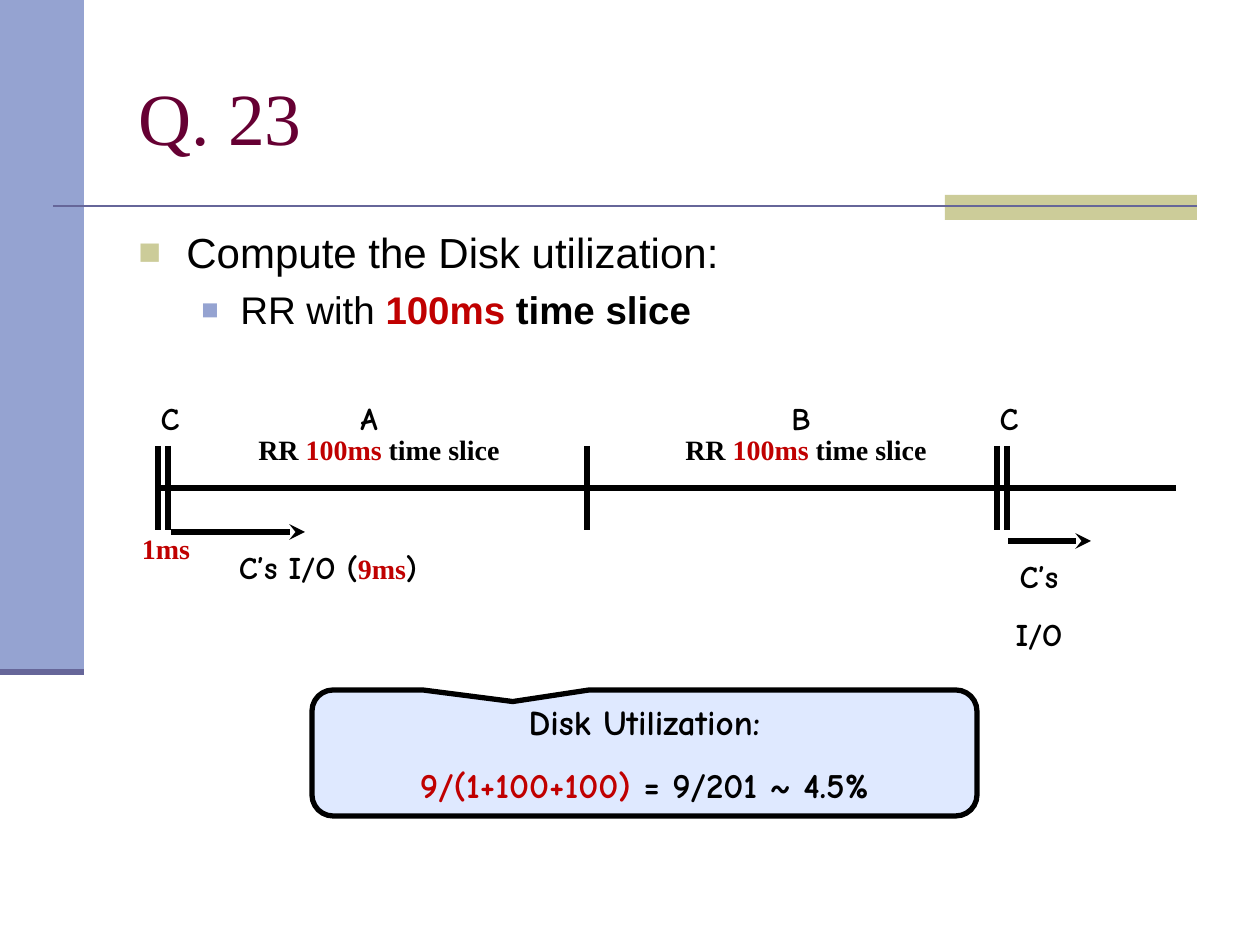
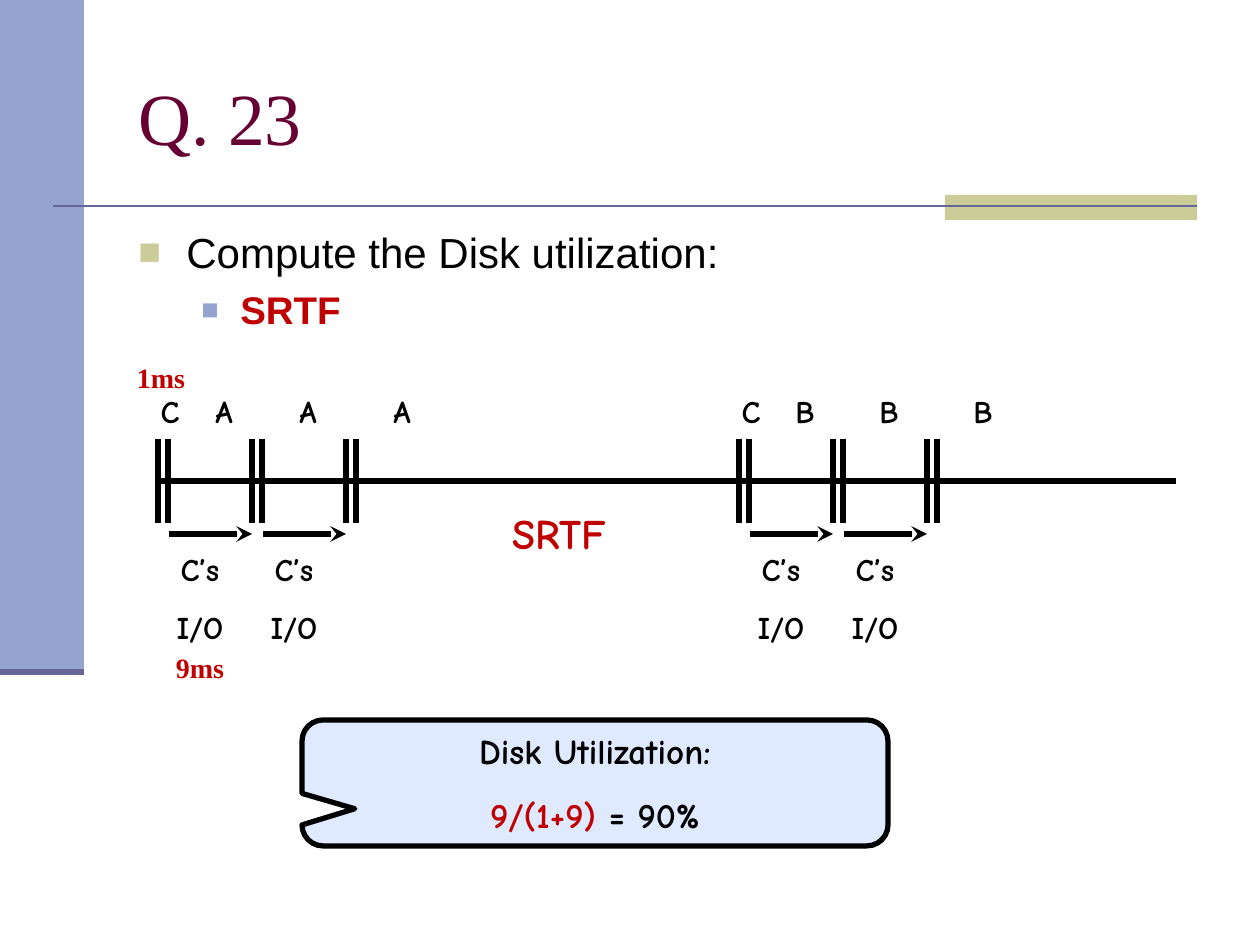
from lxml import etree
from pptx import Presentation
from pptx.dml.color import RGBColor
from pptx.enum.shapes import MSO_CONNECTOR, MSO_SHAPE
from pptx.enum.text import MSO_ANCHOR, MSO_AUTO_SIZE, PP_ALIGN
from pptx.oxml.ns import qn
from pptx.util import Emu, Pt

RECTANGLE = MSO_SHAPE.RECTANGLE
CALLOUT = MSO_SHAPE.ROUNDED_RECTANGULAR_CALLOUT
STRAIGHT = MSO_CONNECTOR.STRAIGHT
LEFT, CENTER = PP_ALIGN.LEFT, PP_ALIGN.CENTER
TOP, MIDDLE = MSO_ANCHOR.TOP, MSO_ANCHOR.MIDDLE
GROW = MSO_AUTO_SIZE.SHAPE_TO_FIT_TEXT

BLACK, RED, PLUM = "000000", "C00000", "660033"
BLUE, OLIVE, SLATE, PALE = "95A3D1", "CCCC99", "666699", "DFE9FF"
SANS, SERIF, COMIC = "Arial", "Times New Roman", "Comic Neue"

PAIR_GAP = 10
PERIOD = 94


def px(length):
    return Emu(round(length * 914400 / 126))


def color(value):
    return RGBColor.from_string(value)


def plain(text, ink=BLACK, size=24, font=SANS, bold=False):
    return text, ink, size, font, bold


def comic(text, ink=BLACK, size=18):
    return text, ink, size, COMIC, True


def serif(text, ink=RED):
    return text, ink, 16, SERIF, True


class Slides:
    def __init__(self):
        self.deck = Presentation()
        self.deck.slide_width, self.deck.slide_height = px(1260), px(945)
        self.page = None
        self.axis_y = 0

    def start(self, title, topic, detail):
        self.page = self.deck.slides.add_slide(self.deck.slide_layouts[6])
        self.shape(RECTANGLE, 0, 0, 84, 672, BLUE)
        self.shape(RECTANGLE, 945, 195, 252, 25, OLIVE)
        self.line(53, 206, 1197, 206, SLATE, 1.5)
        self.line(0, 672, 84, 672, SLATE, 3.5)
        self.text(126, 38, 1071, 157, [[plain(title, PLUM, 42, SERIF)]], anchor=MIDDLE)
        body = self.text(126, 220, 1071, 624, [[plain(topic)], detail], space=5.5)
        levels = ((48, 48, OLIVE, 90), (102, 39, BLUE, 75))
        for para, level in zip(body.text_frame.paragraphs, levels):
            self.bullet(para, *level)

    def shape(self, kind, x, y, width, height, fill, border=None):
        shape = self.page.shapes.add_shape(kind, px(x), px(y), px(width), px(height))
        shape.shadow.inherit = False
        shape.fill.solid()
        shape.fill.fore_color.rgb = color(fill)
        if border:
            shape.line.color.rgb = color(border)
            shape.line.width = Pt(3)
        else:
            shape.line.fill.background()
        return shape

    def line(self, x1, y1, x2, y2, ink=BLACK, weight=3, arrow=False):
        line = self.page.shapes.add_connector(STRAIGHT, px(x1), px(y1), px(x2), px(y2))
        line.line.color.rgb = color(ink)
        line.line.width = Pt(weight)
        if arrow:
            outline = line.line._get_or_add_ln()
            etree.SubElement(outline, qn("a:tailEnd"), type="stealth")
        etree.SubElement(line._element.spPr, qn("a:effectLst"))

    def fill_text(self, frame, paragraphs, align, space):
        for index, spans in enumerate(paragraphs):
            para = frame.add_paragraph() if index else frame.paragraphs[0]
            para.alignment = align
            if index:
                para.space_before = Pt(space)
            for text, ink, size, font, bold in spans:
                span = para.add_run()
                span.text = text
                span.font.size = Pt(size)
                span.font.name = font
                span.font.bold = bold
                span.font.color.rgb = color(ink)

    def text(self, x, y, width, height, paragraphs, align=LEFT, anchor=TOP, space=0):
        box = self.page.shapes.add_textbox(px(x), px(y), px(width), px(height))
        frame = box.text_frame
        frame.word_wrap = True
        frame.vertical_anchor = anchor
        self.fill_text(frame, paragraphs, align, space)
        return box

    def bullet(self, para, margin, hanging, ink, percent):
        props = para._p.get_or_add_pPr()
        props.set("marL", str(px(margin)))
        props.set("indent", str(-px(hanging)))
        tint = etree.SubElement(props, qn("a:buClr"))
        etree.SubElement(tint, qn("a:srgbClr"), val=ink)
        etree.SubElement(props, qn("a:buSzPct"), val=str(percent * 1000))
        etree.SubElement(props, qn("a:buFont"), typeface=SANS)
        etree.SubElement(props, qn("a:buChar"), char="■")

    def label(self, center, y, *paragraphs, width=74, height=50):
        box = self.text(center - width / 2, y, width, height, paragraphs, CENTER, space=11.25)
        box.text_frame.word_wrap = False
        box.text_frame.auto_size = GROW

    def callout(self, x, y, width, tip, formula, result):
        shape = self.shape(CALLOUT, x, y, width, 126, PALE, BLACK)
        for index, value in enumerate((*tip, 0.167)):
            shape.adjustments[index] = value
        frame = shape.text_frame
        frame.word_wrap = True
        frame.vertical_anchor = MIDDLE
        lines = [[comic("Disk Utilization:", size=20)],
                 [comic(formula, RED, 20), comic(result, size=20)]]
        self.fill_text(frame, lines, CENTER, 12.5)

    def axis(self, y):
        self.axis_y = y
        self.line(158, y, 1176, y)

    def tick(self, x):
        self.line(x, self.axis_y - 42, x, self.axis_y + 42)

    def tick_pair(self, x):
        self.tick(x)
        self.tick(x + PAIR_GAP)

    def job(self, center, name):
        self.label(center, self.axis_y - 95, [comic(name)], width=44)

    def disk_wait(self, x):
        y = self.axis_y + 53
        self.line(x + 11, y, x + PERIOD, y, arrow=True)
        self.label(x + 42, y + 10, [comic("C’s ")], [comic("I/O")], height=108)


def round_robin(slides):
    slides.start("Q. 23", "Compute the Disk utilization:",
                 [plain("RR with ", size=22), plain("100ms", RED, 22, bold=True),
                  plain(" time slice", size=22, bold=True)])
    slides.callout(312, 690, 665, (-0.198, -0.408), "9/(1+100+100)", " = 9/201 ~ 4.5%")
    slides.axis(488)
    for x in (158, 997):
        slides.tick_pair(x)
        slides.job(x + 12, "C")
    slides.tick(587)
    slides.disk_wait(997)
    slides.line(171, 532, 305, 532, arrow=True)
    slides.label(328, 542, [comic("C’s I/O ("), serif("9ms"), comic(")")], width=246)
    slides.job(369, "A")
    slides.job(801, "B")
    for center in (379, 806):
        slides.label(center, 426, [serif("RR ", BLACK), serif("100ms"),
                                   serif(" time slice", BLACK)], width=276)
    slides.label(166, 525, [serif("1ms")])


def shortest_first(slides):
    slides.start("Q. 23", "Compute the Disk utilization:",
                 [plain("SRTF", RED, 22, bold=True)])
    slides.callout(302, 720, 586, (-0.41, 0.205), "9/(1+9)", " = 90%")
    slides.axis(481)
    for first, name in ((158, "A"), (739, "B")):
        slides.job(first + 12, "C")
        for index, offset in enumerate((66, 56, 56)):
            x = first + index * PERIOD
            slides.tick_pair(x)
            slides.job(x + offset, name)
            if index < 2:
                slides.disk_wait(x)
    slides.label(559, 501, [comic("SRTF", RED, 24)], width=130, height=63)
    slides.label(161, 354, [serif("1ms")])
    slides.label(200, 644, [serif("9ms")])


def main():
    slides = Slides()
    round_robin(slides)
    shortest_first(slides)
    slides.deck.save("out.pptx")


if __name__ == "__main__":
    main()
